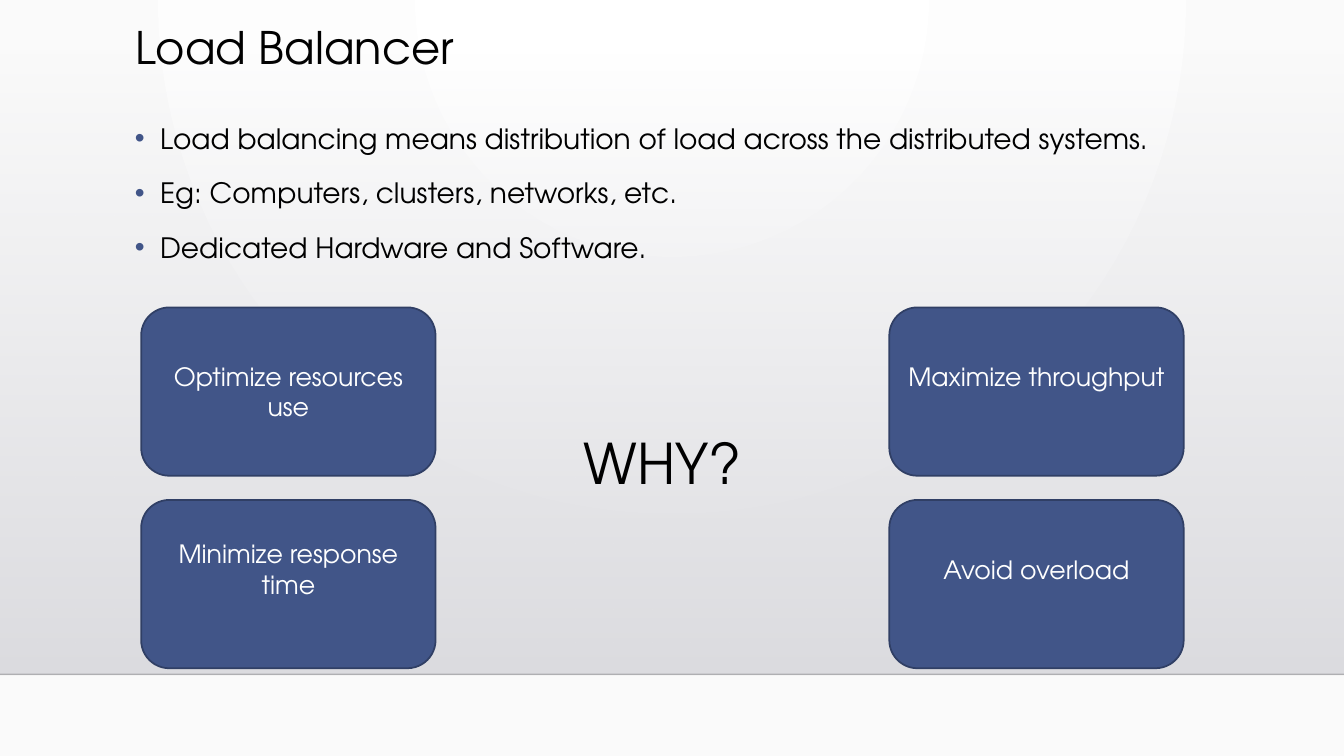
"""Builds the Load Balancer slide."""
from lxml import etree
from pptx import Presentation
from pptx.dml.color import RGBColor
from pptx.enum.shapes import MSO_CONNECTOR, MSO_SHAPE
from pptx.enum.text import MSO_ANCHOR, MSO_AUTO_SIZE, PP_ALIGN
from pptx.oxml.ns import qn
from pptx.util import Inches, Pt

RECT, ROUNDED = MSO_SHAPE.RECTANGLE, MSO_SHAPE.ROUNDED_RECTANGLE
STRAIGHT = MSO_CONNECTOR.STRAIGHT
TOP, MIDDLE = MSO_ANCHOR.TOP, MSO_ANCHOR.MIDDLE
NO_FIT = MSO_AUTO_SIZE.NONE
LEFT, CENTER = PP_ALIGN.LEFT, PP_ALIGN.CENTER
FONT = "TeX Gyre Adventor"
BLUE = "415588"


def rgb(value):
    return RGBColor.from_string(value)


def write(sp, lines, size, color="000000", align=LEFT, anchor=TOP, spacing=1.0):
    tf = sp.text_frame
    tf.text = "\n".join(lines)
    tf.word_wrap = True
    tf.auto_size = NO_FIT
    tf.vertical_anchor = anchor
    for p in tf.paragraphs:
        p.alignment = align
        p.line_spacing = spacing
        p.font.name = FONT
        p.font.size = Pt(size)
        p.font.color.rgb = rgb(color)
    return tf


prs = Presentation()
prs.slide_width, prs.slide_height = Inches(13.33), Inches(7.5)
s = prs.slides.add_slide(prs.slide_layouts[5])

fill = s.background.fill
fill.gradient()
for stop, color in zip(fill.gradient_stops, ("FFFFFF", "FAFAFA")):
    stop.color.rgb = rgb(color)
grad = s.background._cSld.find(".//" + qn("a:gradFill"))
grad.remove(grad.find(qn("a:lin")))
circle = etree.SubElement(grad, qn("a:path"), path="circle")
etree.SubElement(circle, qn("a:fillToRect"), l="43000", t="0", r="43000", b="100000")

panel = s.shapes.add_shape(RECT, 0, Inches(0.51), prs.slide_width, Inches(6.18))
panel.shadow.inherit = False
panel.line.fill.background()
panel.fill.gradient()
panel.fill.gradient_angle = 270
for stop, color in zip(panel.fill.gradient_stops, ("DCDCE0", "DEDEE2")):
    stop.color.rgb = rgb(color)
clear = panel._element.spPr.find(".//" + qn("a:srgbClr"))
etree.SubElement(clear, qn("a:alpha"), val="0")

rule = s.shapes.add_connector(STRAIGHT, 0, Inches(6.69), prs.slide_width, Inches(6.69))
rule.line.color.rgb = rgb("000001")
rule.line.width = Pt(1)
ink = rule._element.spPr.find(".//" + qn("a:srgbClr"))
etree.SubElement(ink, qn("a:alpha"), val="20000")
etree.SubElement(rule._element.spPr, qn("a:effectLst"))

title = s.shapes.title
title.left, title.top = Inches(1.24), Inches(0.21)
title.width, title.height = Inches(10.5), Inches(1.15)
write(title, ["Load Balancer"], 32, spacing=0.9)

body = s.shapes.add_textbox(Inches(1.24), Inches(1.09), Inches(10.5), Inches(1.73))
points = [
    "Load balancing means distribution of load across the distributed systems.",
    "Eg: Computers, clusters, networks, etc.",
    "Dedicated Hardware and Software.",
]
for p in write(body, points, 20, spacing=1.2).paragraphs:
    p.space_before = Pt(10)
    pPr = p._p.get_or_add_pPr()
    pPr.set("marL", str(Inches(0.25)))
    pPr.set("indent", str(-Inches(0.25)))
    bullet = etree.Element(qn("a:buClr"))
    etree.SubElement(bullet, qn("a:srgbClr"), val=BLUE)
    face = etree.Element(qn("a:buFont"), typeface="Arial")
    char = etree.Element(qn("a:buChar"), char="•")
    pPr.find(qn("a:spcBef")).addnext(bullet)
    bullet.addnext(face)
    face.addnext(char)

why = s.shapes.add_textbox(Inches(4.72), Inches(4.28), Inches(3.7), Inches(1.07))
write(why, ["WHY?"], 40, align=CENTER, spacing=0.9)

reasons = [
    ("Optimize resources use", 0.05),
    ("Minimize response time", 0.35),
    ("Maximize throughput", 0.35),
    ("Avoid overload", 0.35),
]
for i, (reason, bottom) in enumerate(reasons):
    col, row = divmod(i, 2)
    sp = s.shapes.add_shape(ROUNDED, Inches(1.4 + 7.42 * col), Inches(3.05 + 1.91 * row),
                            Inches(2.92), Inches(1.67))
    sp.shadow.inherit = False
    sp.fill.solid()
    sp.fill.fore_color.rgb = rgb(BLUE)
    sp.line.color.rgb = rgb("303F65")
    sp.line.width = Pt(1.25)
    tf = write(sp, [reason], 18, "FFFFFF", CENTER, MIDDLE)
    tf.margin_bottom = Inches(bottom)

prs.save("out.pptx")
